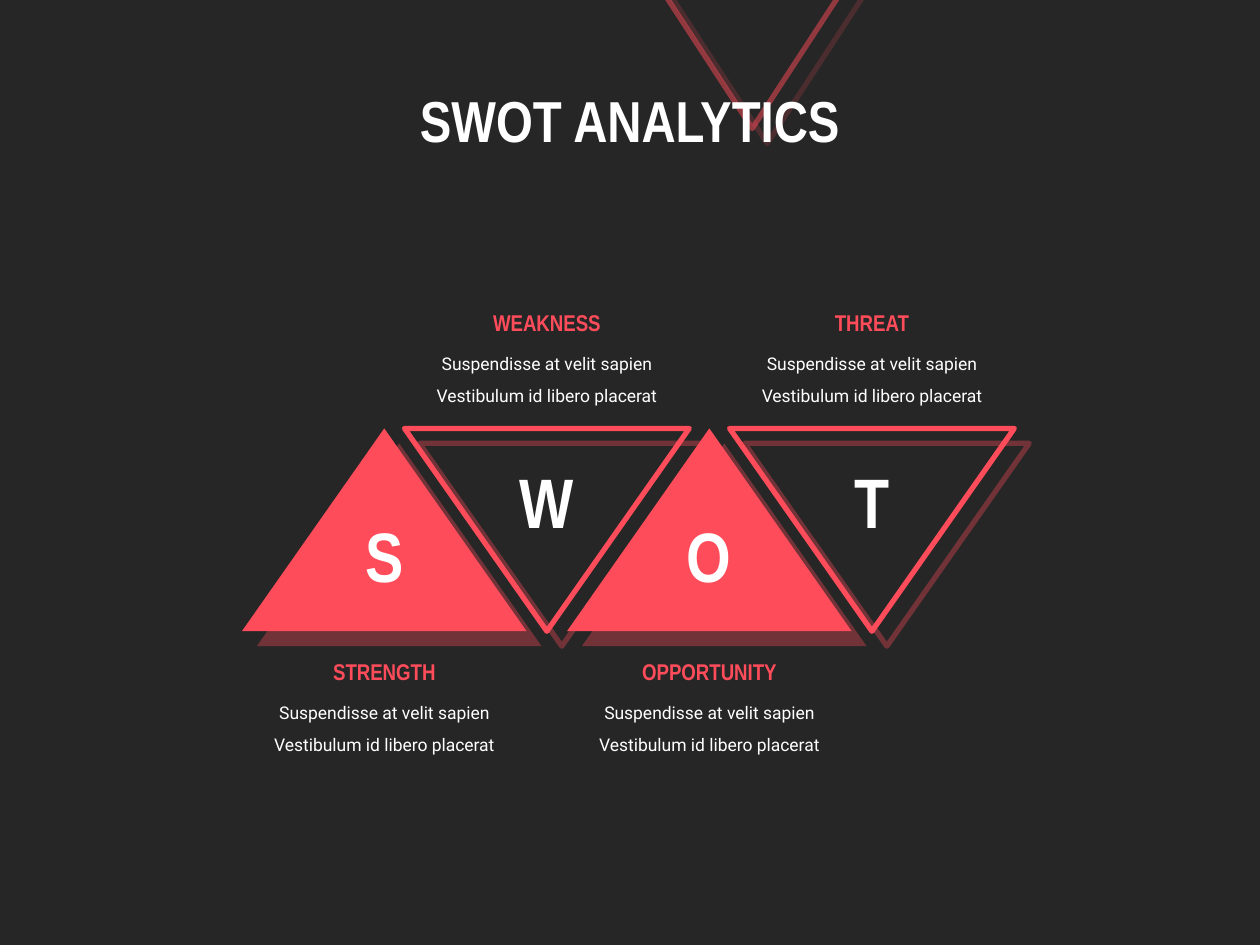
from lxml import etree
from pptx import Presentation
from pptx.dml.color import RGBColor
from pptx.enum.shapes import MSO_SHAPE
from pptx.enum.text import MSO_ANCHOR, MSO_AUTO_SIZE, PP_ALIGN
from pptx.oxml.ns import qn
from pptx.util import Inches, Pt

TRIANGLE = MSO_SHAPE.ISOSCELES_TRIANGLE
CENTER = PP_ALIGN.CENTER
MIDDLE = MSO_ANCHOR.MIDDLE
GROW = MSO_AUTO_SIZE.SHAPE_TO_FIT_TEXT
NO_AUTOFIT = MSO_AUTO_SIZE.NONE

DARK = RGBColor(0x26, 0x26, 0x26)
CORAL = RGBColor(0xFF, 0x4C, 0x5B)
WHITE = RGBColor(0xFF, 0xFF, 0xFF)

TITLE = {"name": "Arial Narrow", "size": Pt(33), "bold": True}
LETTER = {"name": "Arial Narrow", "size": Pt(40), "bold": True}
HEADING = {"name": "Arial Narrow", "size": Pt(13), "bold": True}
BODY = {"name": "Roboto", "size": Pt(10), "bold": False}

BODY_TEXT = "Suspendisse at velit sapien Vestibulum id libero placerat"
ITEMS = ["STRENGTH", "WEAKNESS", "OPPORTUNITY", "THREAT"]
TRIANGLE_W, TRIANGLE_H = 2.26, 1.61
STEP = 1.29


def set_alpha(color, percent):
    etree.SubElement(color, qn("a:alpha"), val=str(percent * 1000))


def add_offset_shadow(sp):
    """Hard-edged translucent shadow, down and to the right."""
    sp.shadow.inherit = False
    effects = sp._element.spPr.find(qn("a:effectLst"))
    shadow = etree.SubElement(effects, qn("a:outerShdw"), blurRad="0",
                              dist=str(Pt(12.1)), dir=str(45 * 60000),
                              algn="tl", rotWithShape="0")
    color = etree.SubElement(shadow, qn("a:srgbClr"), val=str(CORAL))
    set_alpha(color, 35)


def add_triangle(s, x, y, w, h, inverted):
    """Solid when upright, outlined when inverted."""
    sp = s.shapes.add_shape(TRIANGLE, Inches(x), Inches(y), Inches(w), Inches(h))
    if inverted:
        sp.rotation = 180
        sp.fill.background()
        sp.line.color.rgb = CORAL
        sp.line.width = Pt(3)
    else:
        sp.fill.solid()
        sp.fill.fore_color.rgb = CORAL
        sp.line.fill.background()
    add_offset_shadow(sp)
    return sp


def format_text(tf, text, style, color, spacing=None):
    tf.word_wrap = True
    p = tf.paragraphs[0]
    p.alignment = CENTER
    p.line_spacing = spacing
    r = p.add_run()
    r.text = text
    for name, value in style.items():
        setattr(r.font, name, value)
    r.font.color.rgb = color


def add_centered_text(s, cx, y, w, h, text, style, color, spacing=None):
    sp = s.shapes.add_textbox(Inches(cx - w / 2), Inches(y), Inches(w), Inches(h))
    sp.text_frame.auto_size = GROW
    format_text(sp.text_frame, text, style, color, spacing)


def add_title(s, x, y, w, h):
    """Title in front of a half-transparent triangle."""
    title = s.shapes.title
    title.left, title.top = Inches(x), Inches(y)
    title.width, title.height = Inches(w), Inches(h)
    tf = title.text_frame
    tf.auto_size = NO_AUTOFIT
    tf.vertical_anchor = MIDDLE
    format_text(tf, "SWOT ANALYTICS", TITLE, WHITE, 0.9)

    ornament = add_triangle(s, x + 2.75, y - 0.65, 1.54, 1.18, inverted=True)
    line = ornament._element.spPr.find(qn("a:ln"))
    set_alpha(line.find(".//" + qn("a:srgbClr")), 50)
    title._element.addprevious(ornament._element)


def add_swot(s, x, y):
    """Row of interlocking triangles, captioned below and above in turn."""
    for i in range(len(ITEMS)):
        add_triangle(s, x + i * STEP, y, TRIANGLE_W, TRIANGLE_H, inverted=i % 2 == 1)

    for i, name in enumerate(ITEMS):
        cx = x + i * STEP + TRIANGLE_W / 2
        letter_y, caption_y = (y + 0.19, y - 1) if i % 2 else (y + 0.62, y + 1.77)
        add_centered_text(s, cx, letter_y, 0.76, 0.77, name[0], LETTER, WHITE)
        add_centered_text(s, cx, caption_y + 0.27, 2.23, 0.6, BODY_TEXT, BODY, WHITE, 1.5)
        add_centered_text(s, cx, caption_y, 1.84, 0.32, name, HEADING, CORAL)


def main():
    prs = Presentation()
    prs.slide_width, prs.slide_height = Inches(10), Inches(7.5)
    s = prs.slides.add_slide(prs.slide_layouts.get_by_name("Title Only"))
    s.background.fill.solid()
    s.background.fill.fore_color.rgb = DARK
    add_title(s, 2.45, 0.49, 5.1, 0.98)
    add_swot(s, 1.92, 3.4)
    prs.save("out.pptx")


if __name__ == "__main__":
    main()
